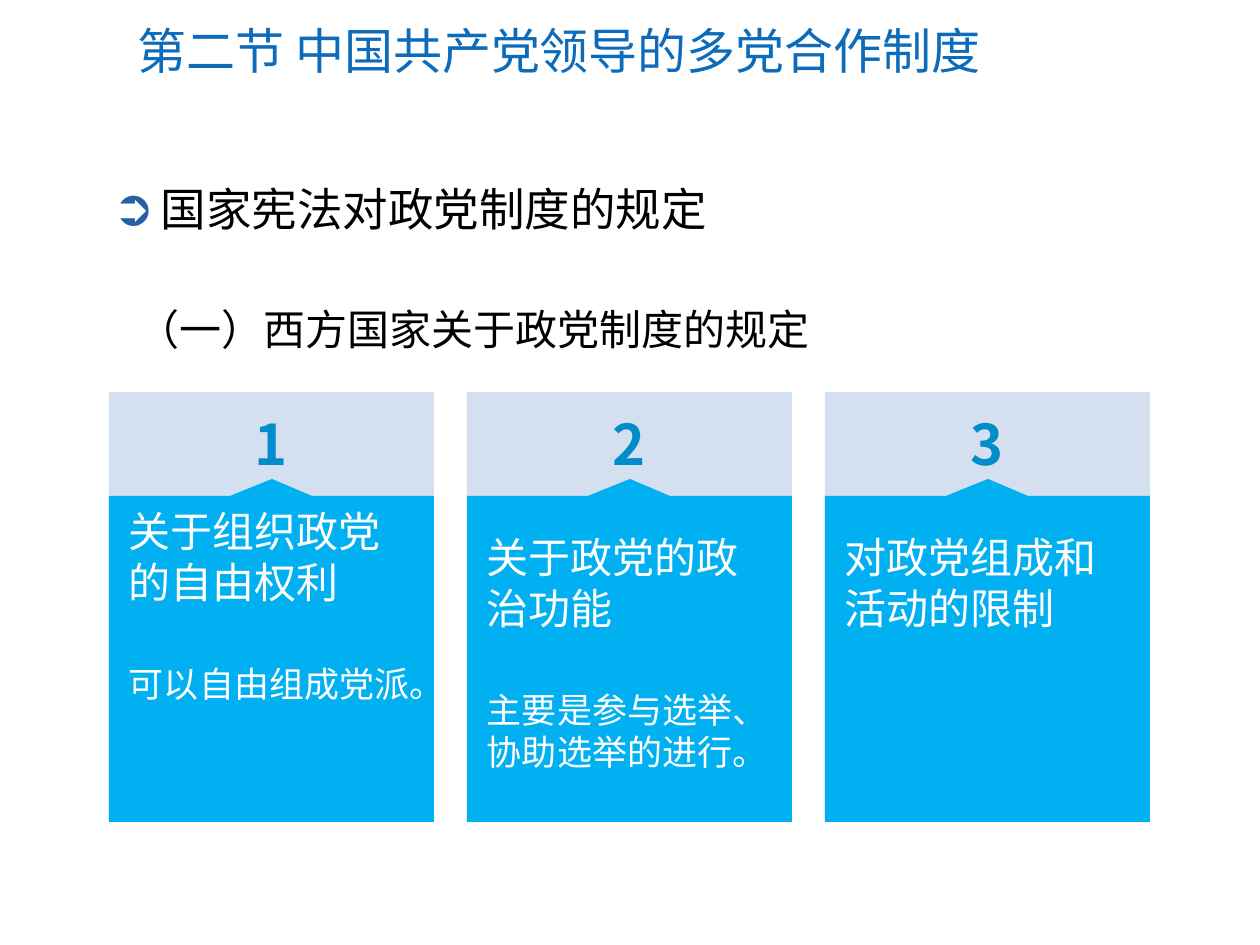
from lxml import etree
from pptx import Presentation
from pptx.dml.color import RGBColor
from pptx.enum.shapes import MSO_SHAPE
from pptx.enum.text import MSO_ANCHOR, MSO_AUTO_SIZE, PP_ALIGN
from pptx.oxml.ns import qn
from pptx.util import Pt

RECTANGLE = MSO_SHAPE.RECTANGLE
TOP, MIDDLE = MSO_ANCHOR.TOP, MSO_ANCHOR.MIDDLE
LEFT, CENTER = PP_ALIGN.LEFT, PP_ALIGN.CENTER
NO_FIT = MSO_AUTO_SIZE.NONE
SCALE = 914400 / 126


def px(length):
    return round(length * SCALE)


def color(value):
    return RGBColor.from_string(value)


class SlideBuilder:
    latin = "Calibri"
    chinese = "Noto Sans CJK SC"
    blue = "00B0F0"
    pale = "95B3D7"

    def __init__(self, slide):
        self.slide = slide

    def place(self, box, left, top, width, height):
        box.left, box.top = px(left), px(top)
        box.width, box.height = px(width), px(height)

    def frame(self, box, anchor=TOP, **margins):
        frame = box.text_frame
        formats = {"word_wrap": True, "auto_size": NO_FIT, "vertical_anchor": anchor}
        for name, value in {**formats, **margins}.items():
            setattr(frame, name, value)
        return frame

    def add_text(self, para, text, size, font, ink, bold=False, **formats):
        span = para.add_run()
        span.text = text
        for name, value in {"size": Pt(size), "name": font, "bold": bold}.items():
            setattr(span.font, name, value)
        span.font.color.rgb = color(ink)
        for name, value in {"alignment": LEFT, "space_before": Pt(0), **formats}.items():
            setattr(para, name, value)

    def title(self, text, *bounds):
        box = self.slide.shapes.title
        self.place(box, *bounds)
        para = self.frame(box, MIDDLE).paragraphs[0]
        self.add_text(para, text, 28, self.latin, "0C6BBA")

    def bullet(self, text, *bounds):
        box = self.slide.placeholders[1]
        self.place(box, *bounds)
        para = self.frame(box).paragraphs[0]
        self.add_text(para, text, 26, self.latin, "000000")
        properties = para._p.get_or_add_pPr()
        properties.set("marL", str(px(48)))
        properties.set("indent", str(px(-48)))
        tint = etree.SubElement(properties, qn("a:buClr"))
        etree.SubElement(tint, qn("a:srgbClr"), val="2860A4")
        etree.SubElement(properties, qn("a:buSzPct"), val="110000")
        etree.SubElement(properties, qn("a:buChar"), char="➲")

    def label(self, shapes, bounds, text, size, ink, **formats):
        box = shapes.add_textbox(*map(px, bounds))
        para = self.frame(box).paragraphs[0]
        self.add_text(para, text, size, self.chinese, ink, **formats)

    def heading(self, text, *bounds):
        self.label(self.slide.shapes, bounds, text, 24, "000000", line_spacing=1.5)

    def paint(self, shape, fill):
        shape.shadow.inherit = False
        shape.fill.solid()
        shape.fill.fore_color.rgb = color(fill)
        shape.line.fill.background()

    def panel(self, shapes, *bounds):
        shape = shapes.add_shape(RECTANGLE, *map(px, bounds))
        self.paint(shape, self.pale)
        tint = shape._element.spPr.find(f".//{qn('a:srgbClr')}")
        etree.SubElement(tint, qn("a:alpha"), val="40000")

    def callout(self, shapes, left, top, width, height, inset, lines):
        middle, shoulder, bottom = left + width / 2, top + 17, top + height
        right = left + width
        builder = shapes.build_freeform(middle, top, SCALE)
        builder.add_line_segments([
            (middle + 41, shoulder), (right, shoulder), (right, bottom),
            (left, bottom), (left, shoulder), (middle - 41, shoulder),
        ])
        shape = builder.convert_to_shape()
        self.paint(shape, self.blue)
        frame = self.frame(shape, margin_left=px(20), margin_right=px(20),
                           margin_top=px(inset), margin_bottom=px(6))
        for index, (text, size, gap) in enumerate(zip(lines, (24, 20), (0, 56))):
            para = frame.add_paragraph() if index else frame.paragraphs[0]
            self.add_text(para, text, size, self.chinese, "FFFFFF",
                          space_before=px(gap), line_spacing=Pt(size * 1.2))

    def card(self, number, left, inset, lines):
        shapes = self.slide.shapes.add_group_shape().shapes
        self.panel(shapes, left, 392, 325, 430)
        self.callout(shapes, left, 479, 325, 343, inset, lines)
        self.label(shapes, (left, 402, 325, 81), str(number), 32, "008DCA",
                   bold=True, alignment=CENTER, line_spacing=Pt(39))


def main():
    deck = Presentation()
    deck.slide_width, deck.slide_height = px(1260), px(945)
    page = SlideBuilder(deck.slides.add_slide(deck.slide_layouts[1]))
    page.title("第二节 中国共产党领导的多党合作制度", 125, 13, 1099, 73)
    page.bullet("国家宪法对政党制度的规定", 100, 175, 1051, 68)
    page.heading("（一）西方国家关于政党制度的规定", 125, 272, 1061, 89)
    cards = [
        (27, ["关于组织政党的自由权利", "可以自由组成党派。"]),
        (53, ["关于政党的政治功能", "主要是参与选举、协助选举的进行。"]),
        (53, ["对政党组成和活动的限制"]),
    ]
    for index, (inset, lines) in enumerate(cards):
        page.card(index + 1, 109 + 358 * index, inset, lines)
    deck.save("out.pptx")


if __name__ == "__main__":
    main()
